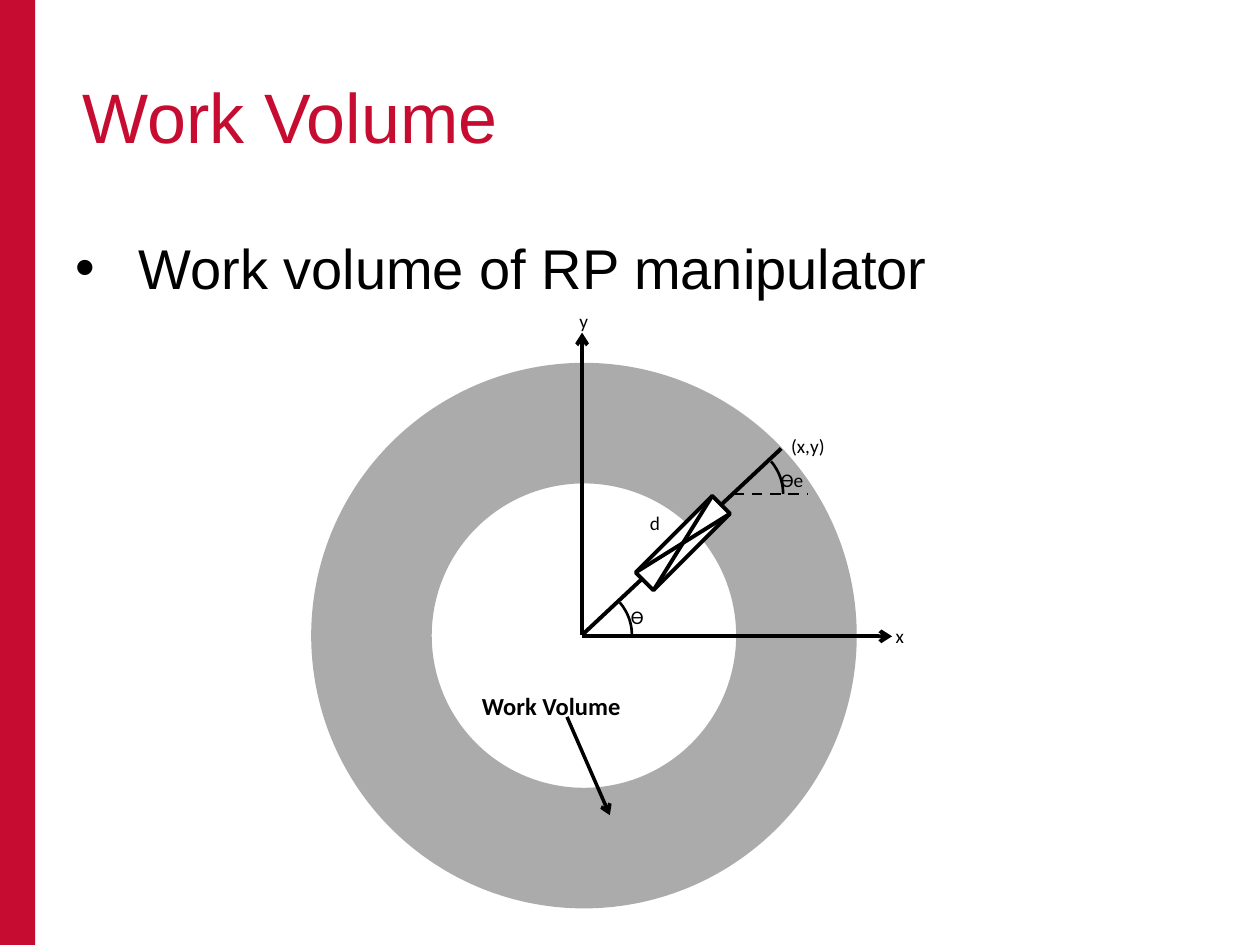
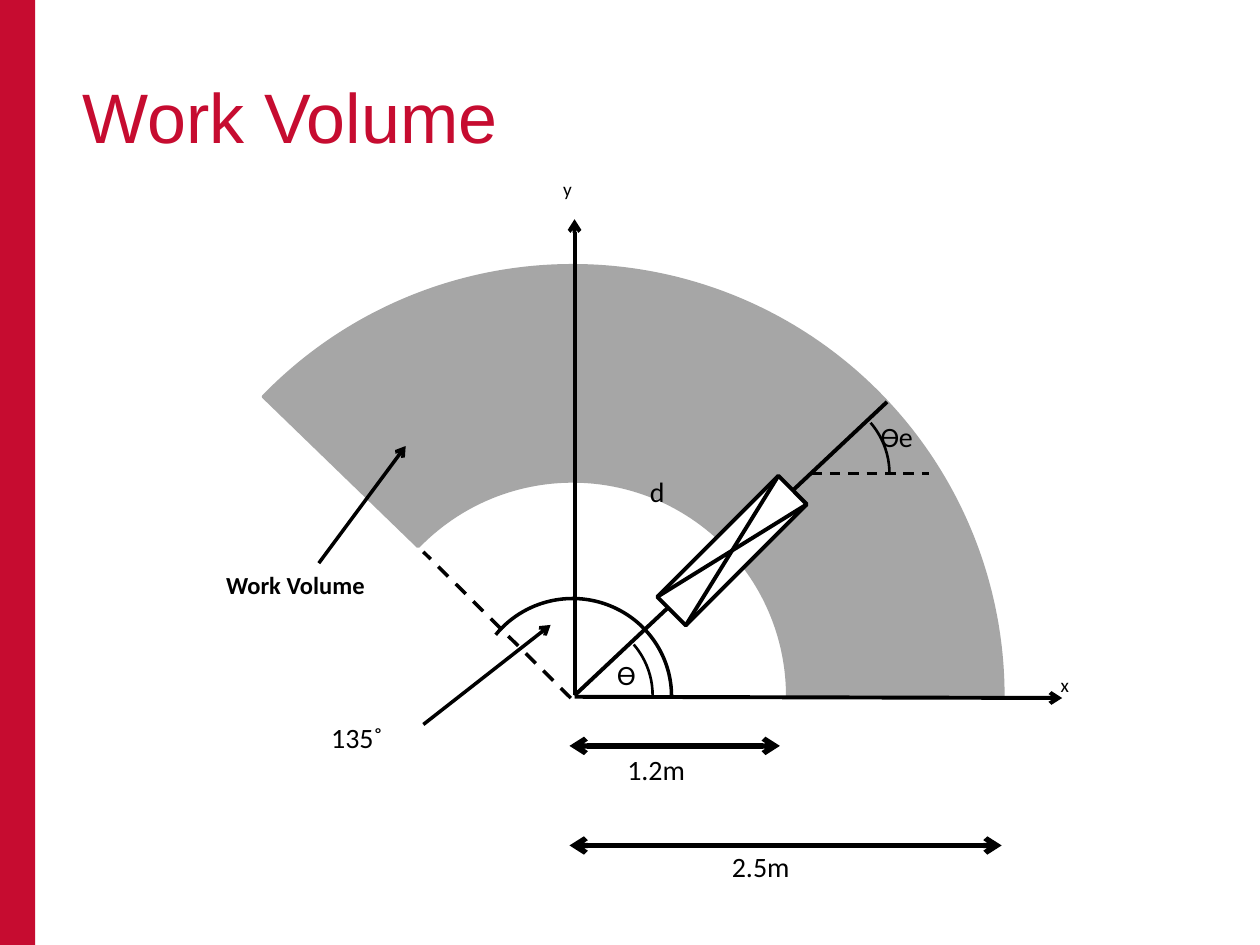
"""Build two slides on the work volume of an RP manipulator."""
from dataclasses import dataclass
from math import cos, radians, sin
from typing import NamedTuple

from lxml.etree import SubElement
from pptx import Presentation
from pptx.dml.color import RGBColor
from pptx.enum.dml import MSO_LINE_DASH_STYLE as Dash
from pptx.enum.shapes import MSO_CONNECTOR as Connector, MSO_SHAPE as Preset
from pptx.enum.text import PP_ALIGN as Align
from pptx.oxml.ns import qn
from pptx.util import Inches, Pt

COLORS = {"brand": "C60C30", "ink": "000000", "paper": "FFFFFF",
          "ring": "595959", "sector": "A6A6A6"}
HEADING_FONT, LABEL_FONT = "Arial", "Calibri"
JOINT_TILT = 45
ANGLE_START = 319.28


class Point(NamedTuple):
    x: float
    y: float


class Box(NamedTuple):
    left: float
    top: float
    width: float
    height: float


@dataclass
class Label:
    text: str
    box: Box
    size: int = 11
    bold: bool = False
    align: Align = Align.LEFT


@dataclass
class Stroke:
    start: Point
    end: Point
    width: float = 2.25
    dashed: bool = False
    head: bool = False
    tail: bool = False


@dataclass
class Manipulator:
    base: Point
    tip: Point
    y_end: float
    x_end: Point
    wrist: Point
    angle_size: float
    joint: Point
    joint_length: float
    joint_width: float


def rgb(name: str) -> RGBColor:
    return RGBColor.from_string(COLORS[name])


def inches(box: Box) -> list:
    return [Inches(value) for value in box]


def around(center: Point, width: float, height: float) -> Box:
    return Box(center.x - width / 2, center.y - height / 2, width, height)


def draw_shape(slide, preset: Preset, box: Box, fill: str = "", line: str = "",
               width: float = 2.25, adjust: tuple = ()):
    shape = slide.shapes.add_shape(preset, *inches(box))
    shape.shadow.inherit = False
    if fill:
        shape.fill.solid()
        shape.fill.fore_color.rgb = rgb(fill)
    else:
        shape.fill.background()
    if line:
        shape.line.color.rgb = rgb(line)
        shape.line.width = Pt(width)
    else:
        shape.line.fill.background()
    for index, value in enumerate(adjust):
        shape.adjustments[index] = value
    return shape


def turn(degrees: float) -> float:
    return degrees * 0.6


def draw_arc(slide, box: Box, start: float, width: float) -> None:
    draw_shape(slide, Preset.ARC, box, line="ink", width=width, adjust=(turn(start), 0))


def draw_stroke(slide, stroke: Stroke) -> None:
    ends = [Inches(value) for value in (*stroke.start, *stroke.end)]
    connector = slide.shapes.add_connector(Connector.STRAIGHT, *ends)
    connector.line.color.rgb = rgb("ink")
    connector.line.width = Pt(stroke.width)
    if stroke.dashed:
        connector.line.dash_style = Dash.DASH
    properties = connector._element.spPr
    outline = properties.find(qn("a:ln"))
    for tag, wanted in (("a:headEnd", stroke.head), ("a:tailEnd", stroke.tail)):
        if wanted:
            SubElement(outline, qn(tag), type="arrow")
    SubElement(properties, qn("a:effectLst"))


def add_text(slide, text: str, box: Box, font: str, size: int,
             color: str = "ink", bold: bool = False):
    frame = slide.shapes.add_textbox(*inches(box)).text_frame
    frame.word_wrap = True
    paragraph = frame.paragraphs[0]
    run = paragraph.add_run()
    run.text = text
    run.font.name = font
    run.font.size = Pt(size)
    run.font.bold = bold
    run.font.color.rgb = rgb(color)
    return frame, paragraph


def draw_label(slide, label: Label) -> None:
    _, paragraph = add_text(slide, label.text, label.box, LABEL_FONT,
                            label.size, bold=label.bold)
    paragraph.alignment = label.align
    paragraph.line_spacing = 1.15
    paragraph.space_after = Pt(10)


def add_titled_slide(deck, title: str):
    slide = deck.slides.add_slide(deck.slide_layouts[6])
    draw_shape(slide, Preset.RECTANGLE, Box(0, 0, 0.28, 7.5), fill="brand")
    frame, _ = add_text(slide, title, Box(0.56, 0.48, 8.94, 1.61), HEADING_FONT, 40, "brand")
    frame.margin_top = Inches(0.1)
    return slide


def add_bullet(slide, text: str) -> None:
    frame, paragraph = add_text(slide, text, Box(0.5, 1.75, 9, 4.95), HEADING_FONT, 32)
    frame.margin_top = Inches(0.1)
    properties = paragraph._p.get_or_add_pPr()
    properties.set("marL", str(Inches(0.5)))
    properties.set("indent", str(-Inches(0.5)))
    SubElement(properties, qn("a:buFont"), typeface=HEADING_FONT)
    SubElement(properties, qn("a:buChar"), char="•")


def draw_joint(slide, robot: Manipulator) -> None:
    body = draw_shape(slide, Preset.RECTANGLE,
                      around(robot.joint, robot.joint_length, robot.joint_width),
                      fill="paper", line="ink")
    body.rotation = 360 - JOINT_TILT
    along, across = robot.joint_length / 2, robot.joint_width / 2
    cosine, sine = cos(radians(JOINT_TILT)), sin(radians(JOINT_TILT))
    for side in (-across, across):
        dx = along * cosine + side * sine
        dy = side * cosine - along * sine
        draw_stroke(slide, Stroke(Point(robot.joint.x + dx, robot.joint.y + dy),
                                  Point(robot.joint.x - dx, robot.joint.y - dy)))


def draw_manipulator(slide, robot: Manipulator) -> None:
    base, wrist, size = robot.base, robot.wrist, robot.angle_size
    horizon_end = Point(wrist.x + 0.75 * size, wrist.y)
    for stroke in (
        Stroke(robot.tip, base),
        Stroke(base, Point(base.x, robot.y_end), tail=True),
        Stroke(Point(base.x, base.y + 0.01), robot.x_end, tail=True),
        Stroke(wrist, horizon_end, width=1.5, dashed=True),
    ):
        draw_stroke(slide, stroke)
    for vertex in (wrist, base):
        draw_arc(slide, around(vertex, size, size), ANGLE_START, 1.5)
    draw_joint(slide, robot)


def draw_labels(slide, labels: list[Label]) -> None:
    for label in labels:
        draw_label(slide, label)


def build_full_volume(deck) -> None:
    slide = add_titled_slide(deck, "Work Volume")
    add_bullet(slide, "Work volume of RP manipulator")
    ring = draw_shape(slide, Preset.DONUT, Box(2.47, 2.88, 4.33, 4.33),
                      fill="ring", adjust=(0.221,))
    tint = ring._element.spPr.find(qn("a:solidFill"))[0]
    SubElement(tint, qn("a:alpha"), val="50000")
    draw_manipulator(slide, Manipulator(
        base=Point(4.62, 5.04), tip=Point(6.2, 3.56), y_end=2.64, x_end=Point(7.08, 5.05),
        wrist=Point(5.82, 3.92), angle_size=0.79,
        joint=Point(5.42, 4.31), joint_length=0.86, joint_width=0.2))
    draw_labels(slide, [
        Label("d", Box(5.06, 3.98, 0.44, 0.31)),
        Label("Ѳ", Box(4.91, 4.73, 0.44, 0.31)),
        Label("Ѳe", Box(6.1, 3.64, 0.44, 0.31)),
        Label("x", Box(7.01, 4.88, 0.44, 0.31)),
        Label("y", Box(4.5, 2.38, 0.44, 0.31)),
        Label("(x,y)", Box(6.18, 3.37, 0.52, 0.31)),
        Label("Work Volume", Box(3.51, 5.4, 1.73, 0.44), 14, True, Align.CENTER),
    ])
    draw_stroke(slide, Stroke(Point(4.5, 5.69), Point(4.84, 6.47), width=2, tail=True))


def build_limited_volume(deck) -> None:
    slide = add_titled_slide(deck, "Work Volume")
    draw_shape(slide, Preset.BLOCK_ARC, Box(1.13, 2.11, 6.83, 6.83), fill="sector",
               line="sector", width=2, adjust=(turn(224.09), 0, 0.25))
    draw_manipulator(slide, Manipulator(
        base=Point(4.56, 5.52), tip=Point(7.04, 3.19), y_end=1.74, x_end=Point(8.43, 5.54),
        wrist=Point(6.44, 3.76), angle_size=1.24,
        joint=Point(5.81, 4.37), joint_length=1.36, joint_width=0.32))
    draw_arc(slide, Box(3.76, 4.75, 1.57, 1.55), 218.59, 2)
    for reach_end, y in ((6.19, 5.92), (7.95, 6.71)):
        draw_stroke(slide, Stroke(Point(4.52, y), Point(reach_end, y),
                                  width=3, head=True, tail=True))
    for stroke in (
        Stroke(Point(4.53, 5.54), Point(3.36, 4.38), width=2, dashed=True),
        Stroke(Point(2.53, 4.47), Point(3.22, 3.54), width=2, tail=True),
        Stroke(Point(3.36, 5.75), Point(4.37, 4.96), width=2, tail=True),
    ):
        draw_stroke(slide, stroke)
    draw_labels(slide, [
        Label("d", Box(5.06, 3.68, 0.88, 0.65), 16),
        Label("Ѳ", Box(4.8, 5.13, 0.69, 0.49), 16),
        Label("Ѳe", Box(6.89, 3.24, 1.06, 0.7), 16),
        Label("x", Box(8.32, 5.27, 0.69, 0.49)),
        Label("y", Box(4.37, 1.33, 0.69, 0.49)),
        Label("Work Volume", Box(0.98, 4.44, 2.73, 0.7), 14, True, Align.CENTER),
        Label("135˚", Box(2.53, 5.63, 1.41, 0.59), 16),
        Label("1.2m", Box(4.88, 5.88, 1.41, 0.59), 16),
        Label("2.5m", Box(5.71, 6.65, 1.41, 0.59), 16),
    ])


def main() -> None:
    deck = Presentation()
    deck.slide_width, deck.slide_height = Inches(10), Inches(7.5)
    build_full_volume(deck)
    build_limited_volume(deck)
    deck.save("out.pptx")


if __name__ == "__main__":
    main()
